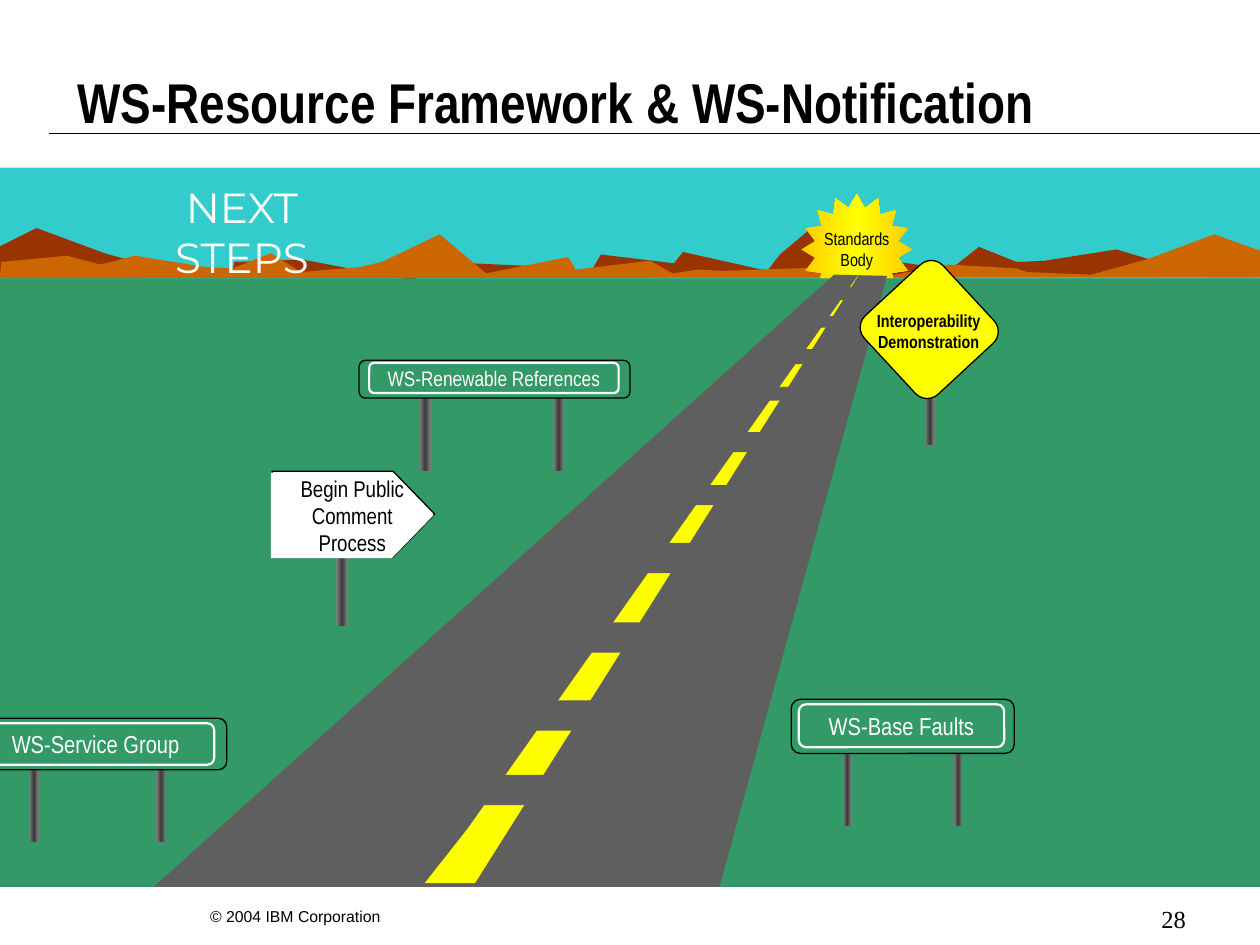
"""Build the road-to-standards slide."""
from copy import deepcopy
from dataclasses import dataclass

from lxml import etree
from pptx import Presentation, util as u
from pptx.dml.color import RGBColor
from pptx.enum import shapes, text
from pptx.oxml import ns

PX = 9144
KIND = shapes.MSO_SHAPE
ALIGN = text.PP_ALIGN
ANCHOR = text.MSO_ANCHOR


@dataclass(frozen=True)
class Theme:
    """Colours, fonts and type sizes."""
    sky: str = "33CCCC"
    rust: str = "993300"
    sand: str = "CC6600"
    grass: str = "339966"
    road: str = "5F5F5F"
    paint: str = "FFFF00"
    ink: str = "000000"
    white: str = "FFFFFF"
    sun: tuple = ("FFCC00", "FFFF00", "FFCC00")
    steel: tuple = ("808080", "3B3B3B", "808080")
    narrow: str = "Arial Narrow"
    plain: str = "Arial"
    round: str = "Montserrat"
    serif: str = "Times New Roman"
    title: int = 32
    head: int = 24
    large: int = 14
    mid: int = 13
    base: int = 12
    small: int = 10
    tiny: int = 9


T = Theme()


def paint(shape, fill=None, line=None, width=0.75):
    """Set a solid, three-stop or empty fill and an optional outline."""
    shape.shadow.inherit = False
    if fill is None:
        shape.fill.background()
    elif isinstance(fill, tuple):
        shape.fill.gradient()
        shape.fill.gradient_angle = 0
        stops = next(shape._element.iter(ns.qn("a:gsLst")))
        stops.insert(1, deepcopy(stops[0]))
        for stop, place, tint in zip(shape.fill.gradient_stops, (0, 0.5, 1), fill):
            stop.position = place
            stop.color.rgb = RGBColor.from_string(tint)
    else:
        shape.fill.solid()
        shape.fill.fore_color.rgb = RGBColor.from_string(fill)
    if line:
        shape.line.color.rgb = RGBColor.from_string(line)
        shape.line.width = u.Pt(width)
    else:
        shape.line.fill.background()
    return shape


def block(slide, kind, box, fill=None, line=None, width=0.75, adj=None):
    """Add a painted preset shape."""
    shape = slide.shapes.add_shape(kind, *(v * PX for v in box))
    if adj is not None:
        shape.adjustments[0] = adj
    return paint(shape, fill, line, width)


def patch(slide, box, dots, fill, line=None):
    """Add a closed outline whose points are relative to the box."""
    pen = slide.shapes.build_freeform(*dots[0], scale=PX)
    pen.add_line_segments(dots[1:], close=True)
    return paint(pen.convert_to_shape(box[0] * PX, box[1] * PX), fill, line)


def write(shape, lines, size, tint=T.ink, face=T.narrow, bold=False,
          align=ALIGN.CENTER, anchor=ANCHOR.MIDDLE, wrap=False):
    """Write one paragraph for each line."""
    frame = shape.text_frame
    frame.word_wrap = wrap
    frame.vertical_anchor = anchor
    frame.text = "\n".join(lines)
    for para in frame.paragraphs:
        para.alignment = align
        para.font.size = u.Pt(size)
        para.font.name = face
        para.font.bold = bold
        para.font.color.rgb = RGBColor.from_string(tint)


def label(slide, box, lines, size, **style):
    """Add a text box."""
    write(slide.shapes.add_textbox(*(v * PX for v in box)), lines, size, **style)


def post(slide, box):
    """Add a steel post."""
    block(slide, KIND.CAN, box, T.steel, adj=0.08)


def rule(slide, box):
    """Draw the line under the title."""
    x, y, w, h = box
    line = slide.shapes.add_connector(
        shapes.MSO_CONNECTOR.STRAIGHT, x * PX, y * PX, (x + w) * PX, (y + h) * PX)
    line.line.color.rgb = RGBColor.from_string(T.ink)
    line.line.width = u.Pt(0.75)
    etree.SubElement(line._element.spPr, ns.qn("a:effectLst"))


def sky(slide, box):
    """Draw the sky, two mountain ranges, the heading and the sun."""
    x, y, w, h = box
    back = [(991, 82), (939, 65), (913, 73), (886, 65), (829, 74), (807, 75),
            (777, 63), (754, 81), (707, 74), (689, 70), (644, 48), (619, 69),
            (609, 82), (542, 67), (535, 76), (477, 69), (468, 84), (438, 76),
            (418, 78), (331, 74), (330, 90), (240, 73), (186, 75), (184, 85),
            (126, 80), (83, 68), (29, 48), (-1, 63), (-2, 84), (996, 87)]
    front = [(1, 75), (53, 70), (80, 77), (107, 70), (163, 79), (185, 80),
             (215, 68), (239, 83), (285, 79), (303, 75), (349, 53), (374, 74),
             (386, 84), (451, 71), (457, 81), (516, 74), (534, 84), (554, 81),
             (574, 82), (661, 79), (663, 94), (753, 77), (806, 80), (815, 83),
             (866, 85), (910, 73), (964, 53), (1000, 66), (1000, 87), (0, 88)]
    block(slide, KIND.RECTANGLE, box, T.sky)
    patch(slide, box, back, T.rust)
    patch(slide, box, front, T.sand)
    label(slide, (x + 90, y + 6, 204, 50), ["NEXT STEPS"], T.head, tint=T.white,
          face=T.round, anchor=ANCHOR.TOP, wrap=True)
    sun = block(slide, KIND.STAR_16_POINT, (x + 636, y + 21, 88, 88), T.sun, adj=0.38)
    write(sun, ["Standards", "Body"], T.small)


def road(slide, box):
    """Draw the grass and the road with its broken centre stripe."""
    x, y, w, h = box
    block(slide, KIND.RECTANGLE, box, T.grass)
    patch(slide, box, [(571, 483), (704, -2), (662, -3), (122, 483)], T.road)
    patch(slide, box, [(377, 480), (683, -5), (371, 437), (337, 480)], T.paint)
    gaps = [(366, 394, 74, 24), (407, 335, 74, 24), (451, 273, 74, 24),
            (496, 210, 74, 24), (529, 164, 74, 16), (555, 122, 74, 16),
            (581, 86, 74, 11), (600, 56, 74, 12), (630, 30, 55, 9), (656, 7, 35, 10)]
    for left, top, wide, high in gaps:
        block(slide, KIND.RECTANGLE, (x + left, y + top, wide, high), T.road)


def sign(slide, box, inner, posts, name, size):
    """Draw a green sign on two posts."""
    x, y, w, h = box
    lefts, top, wide, high = posts
    for left in lefts:
        post(slide, (x + left, y + top, wide, high))
    block(slide, KIND.ROUNDED_RECTANGLE, box, T.grass, T.ink)
    dx, dy, iw, ih = inner
    frame = block(slide, KIND.ROUNDED_RECTANGLE, (x + dx, y + dy, iw, ih),
                  line=T.white, width=1.25)
    write(frame, [name], size, tint=T.white)


def arrow(slide, box):
    """Draw the white arrow sign with its dark edge."""
    x, y, w, h = box
    dots = [(0, 0), (w - 33, 0), (w, h // 2), (w - 33, h), (0, h)]
    post(slide, (x + 52, y + 31, 9, 91))
    patch(slide, (x + 1, y - 1), dots, T.white, T.ink)
    face = patch(slide, box, dots, T.white)
    write(face, ["Begin Public", "Comment", "Process"], T.mid)


def diamond(slide, box):
    """Draw the yellow warning sign."""
    x, y, w, h = box
    post(slide, (x + 39, y + 39, 8, 95))
    plate = block(slide, KIND.ROUNDED_RECTANGLE, box, T.paint, T.ink, adj=0.15)
    plate.rotation = 47.2
    label(slide, (x - 23, y + 22, 130, 44), ["Interoperability", "Demonstration"],
          T.small, bold=True, anchor=ANCHOR.TOP)


def main():
    """Assemble and save the slide."""
    deck = Presentation()
    deck.slide_width, deck.slide_height = 1000 * PX, 750 * PX
    slide = deck.slides.add_slide(deck.slide_layouts[6])
    rule(slide, (39, 106, 961, 0))
    label(slide, (157, 715, 169, 25), ["© 2004 IBM Corporation"], T.tiny,
          face=T.plain, align=ALIGN.LEFT)
    sky(slide, (0, 133, 1000, 91))
    road(slide, (0, 221, 1000, 483))
    sign(slide, (628, 555, 177, 43), (6, 4, 163, 34), ((41, 129), 24, 7, 77),
         "WS-Base Faults", T.large)
    sign(slide, (285, 286, 215, 30), (8, 2, 198, 24), ((48, 154), 20, 9, 68),
         "WS-Renewable References", T.base)
    sign(slide, (-25, 570, 205, 41), (7, 4, 188, 33), ((48, 149), 24, 8, 74),
         "WS-Service Group", T.large)
    arrow(slide, (215, 375, 129, 68))
    diamond(slide, (695, 219, 85, 85))
    label(slide, (-47, 49, 977, 64), ["WS-Resource Framework & WS-Notification"],
          T.title, bold=True, anchor=ANCHOR.TOP)
    label(slide, (856, 717, 95, 24), ["28"], T.large, face=T.serif,
          align=ALIGN.RIGHT, wrap=True)
    deck.save("out.pptx")


if __name__ == "__main__":
    main()
